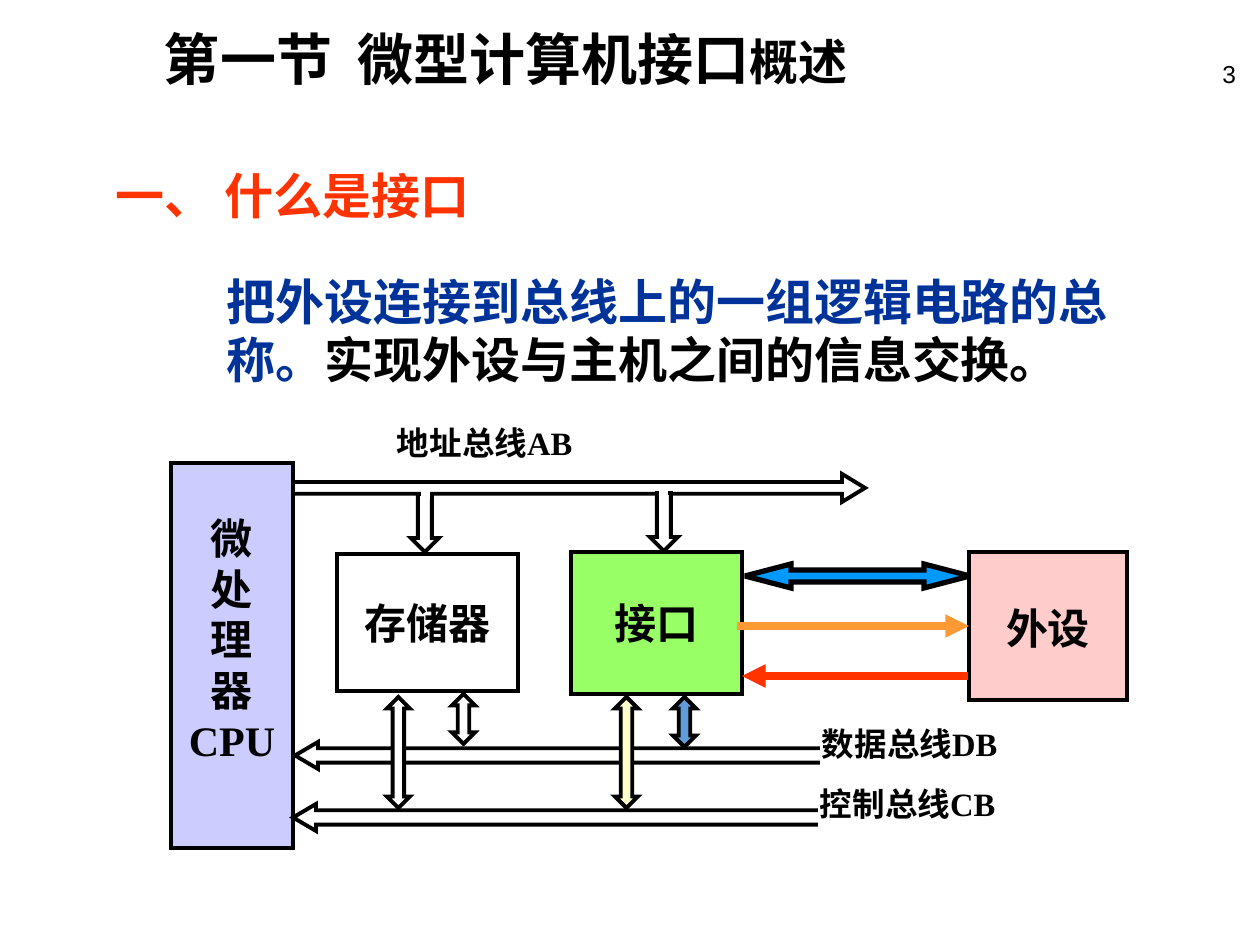
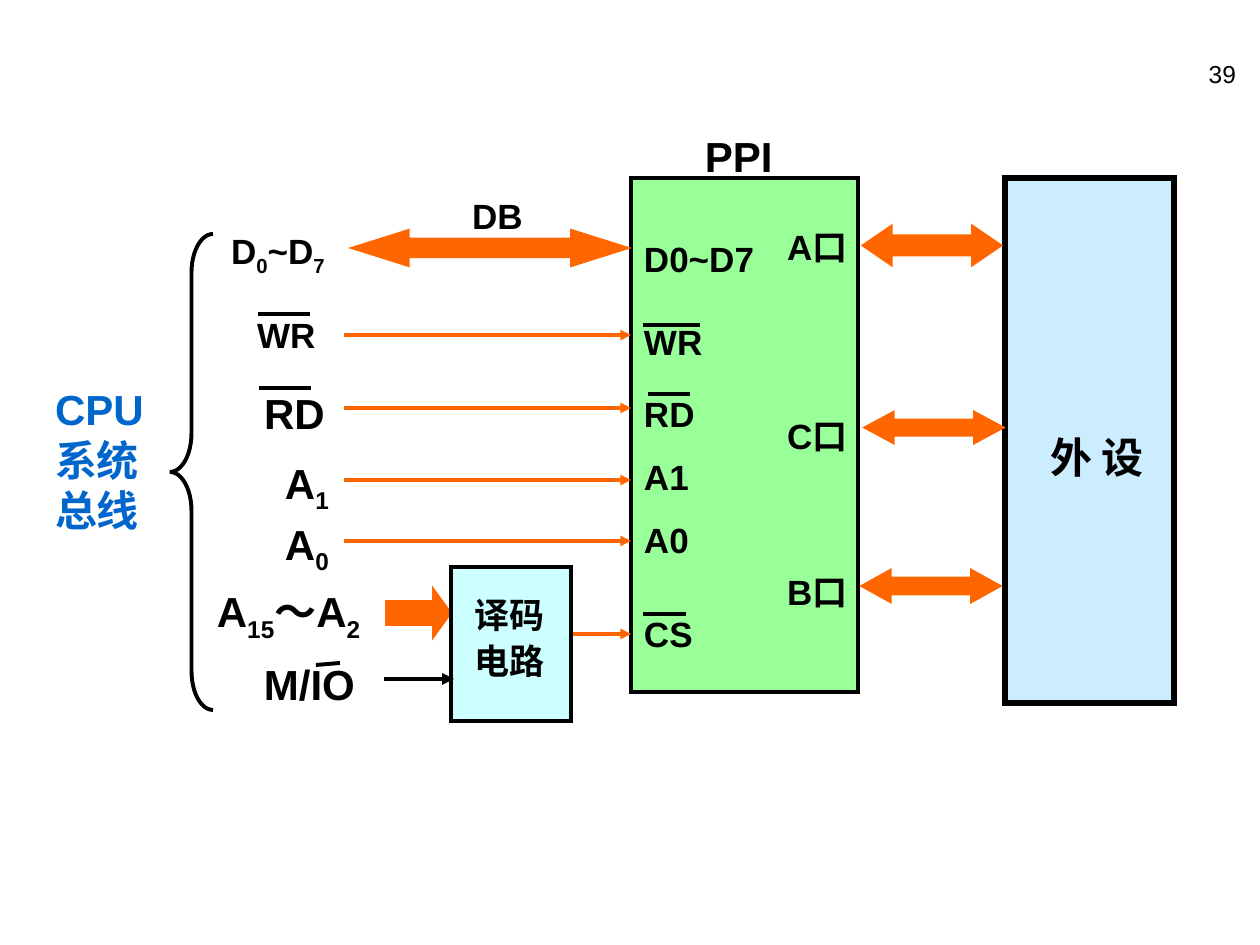
import pptx
import pptx.util
import pptx.dml.color
import pptx.enum.shapes
import pptx.enum.text
import pptx.oxml
import pptx.oxml.ns

SCALE = 914400 / 126
KIND = pptx.enum.shapes.MSO_SHAPE
ALIGN = pptx.enum.text.PP_ALIGN
ANCHOR = pptx.enum.text.MSO_ANCHOR
EAST, SERIF, SANS = "Noto Sans CJK SC", "Times New Roman", "Arial"
INK = {
    "black": "000000", "white": "FFFFFF", "red": "FF3300", "navy": "003399",
    "blue": "0066CC", "sky": "0099FF", "steel": "5E9CDA", "cream": "FFFFCC",
    "lilac": "CCCCFF", "lime": "99FF66", "pink": "FFCCCC", "amber": "FF9933",
    "orange": "FF6600", "mint": "99FF99", "ice": "CCECFF", "aqua": "CCFFFF",
}
PAD = (13, 6, 13, 6)
FLAT = (0, 0, 0, 0)


def emu(*sizes):
    return [round(size * SCALE) for size in sizes]


def rgb(name):
    return pptx.dml.color.RGBColor.from_string(INK[name])


def tag(parent, name, **values):
    """Append a drawing element with the given attributes."""
    child = pptx.oxml.parse_xml(f"<a:{name} {pptx.oxml.ns.nsdecls('a')}/>")
    for key, value in values.items():
        child.set(key, str(value))
    parent.append(child)


# Text
def add_run(para, text, size, face, ink="black", bold=True, base=None, gap=None):
    run = para.add_run()
    run.text = text
    form = {"size": pptx.util.Pt(size), "name": face, "bold": bold}
    for key, value in form.items():
        setattr(run.font, key, value)
    run.font.color.rgb = rgb(ink)
    props = run.font._element
    tag(props, "ea", typeface=EAST)
    for key, value in {"baseline": base, "spc": gap}.items():
        if value:
            props.set(key, str(value))


def write(shape, paras, size, face=SANS, pad=PAD, align=ALIGN.LEFT,
          anchor=ANCHOR.TOP, wrap=True, lines=None, indent=0, **style):
    """Each paragraph is a string or a list of (text, changes) runs."""
    frame = shape.text_frame
    form = {"word_wrap": wrap, "vertical_anchor": anchor,
            "auto_size": pptx.enum.text.MSO_AUTO_SIZE.NONE}
    sides = ("margin_left", "margin_top", "margin_right", "margin_bottom")
    form.update(zip(sides, emu(*pad)))
    for key, value in form.items():
        setattr(frame, key, value)
    for at, runs in enumerate(paras):
        para = frame.add_paragraph() if at else frame.paragraphs[0]
        para.alignment = align
        if lines:
            para.line_spacing = lines
        if indent:
            props = para._p.get_or_add_pPr()
            props.set("marL", str(emu(indent)[0]))
            props.set("indent", "0")
        for text, change in [(runs, {})] if isinstance(runs, str) else runs:
            add_run(para, text, **{"size": size, "face": face, **style, **change})


def label(slide, box, paras, size, **style):
    shape = slide.shapes.add_textbox(*emu(*box))
    write(shape, paras, size, **style)


def sub(*texts):
    """Every second text is a subscript."""
    return [(text, {"base": -25000} if at % 2 else {})
            for at, text in enumerate(texts)]


def number(slide, text):
    label(slide, (987, 53, 262, 63), [text], 14, align=ALIGN.RIGHT, bold=False)


# Shapes
def draw(slide, kind, box, fill, line="black", width=2.25):
    shape = slide.shapes.add_shape(kind, *emu(*box))
    shape.shadow.inherit = False
    if fill:
        shape.fill.solid()
        shape.fill.fore_color.rgb = rgb(fill)
    else:
        shape.fill.background()
    shape.line.color.rgb = rgb(line)
    shape.line.width = pptx.util.Pt(width)
    tag(shape._element.spPr.find(pptx.oxml.ns.qn("a:ln")), "miter", lim=800000)
    return shape


def block(slide, box, fill, paras, pad=FLAT, anchor=ANCHOR.MIDDLE):
    shape = draw(slide, KIND.RECTANGLE, box, fill)
    write(shape, paras, 24, face=SERIF, pad=pad, align=ALIGN.CENTER, anchor=anchor)
    return shape


def arrow(slide, kind, box, fill, head, shaft=0.5, **style):
    """Block arrow: head is a length, shaft a share of the breadth."""
    shape = draw(slide, kind, box, fill, **style)
    values = [shaft, head / min(box[2:])]
    # python-pptx lists the two handles of this kind in reverse
    if kind == KIND.UP_DOWN_ARROW:
        values.reverse()
    for at, value in enumerate(values):
        shape.adjustments[at] = value


def wire(slide, start, end, ink="black", width=2, tip=False):
    straight = pptx.enum.shapes.MSO_CONNECTOR.STRAIGHT
    line = slide.shapes.add_connector(straight, *emu(*start, *end))
    line.line.color.rgb = rgb(ink)
    line.line.width = pptx.util.Pt(width)
    props = line._element.spPr
    if tip:
        tag(props.find(pptx.oxml.ns.qn("a:ln")), "tailEnd", type="triangle")
    tag(props, "effectLst")
    return line


def bus_name(slide, box, text):
    shape = draw(slide, KIND.RECTANGLE, box, "white", line="white")
    write(shape, [text], 18.6, face=SERIF, pad=FLAT, align=ALIGN.JUSTIFY, lines=0.8)


# Slide: what an interface is
def intro(deck):
    slide = deck.slides.add_slide(deck.slide_layouts[5])
    number(slide, "3")

    title = slide.shapes.title
    title.left, title.top, title.width, title.height = emu(151, 18, 760, 81)
    write(title, [[("第一节", {}), (" ", {"gap": 700}), ("微型计算机接口", {}),
                   ("概述", {"size": 28, "face": SERIF})]],
          32, face=EAST, wrap=False)

    label(slide, (88, 265, 1052, 131),
          [[("把外设连接到总线上的一组逻辑电路的总称。", {"ink": "navy"}),
            ("实现外设与主机之间的信息交换。", {})]], 28, face=SERIF, indent=126)
    label(slide, (103, 160, 456, 72), ["一、 什么是接口"], 28, face=SERIF, ink="red")

    # Units and buses
    arrow(slide, KIND.DOWN_ARROW, (411, 494, 28, 58), "white", 14)
    block(slide, (337, 554, 181, 137), "white", ["存储器"])
    block(slide, (571, 552, 171, 142), "lime", ["接口"])
    block(slide, (171, 463, 122, 385), "lilac", [*"微处理器", "CPU"],
          pad=(0, 50, 0, 0), anchor=ANCHOR.TOP)
    for left, top in ((293, 804), (295, 742)):
        arrow(slide, KIND.LEFT_RIGHT_ARROW, (left, top, 572, 27), "white", 23, 0.53)
    arrow(slide, KIND.RIGHT_ARROW, (293, 474, 572, 28), "white", 23, 0.42)
    device = block(slide, (969, 552, 158, 148), "pink", ["外设"], pad=(0, 4, 0, 0))

    # Links to the data bus
    for left, top, fill in ((452, 694, "white"), (673, 697, "steel")):
        arrow(slide, KIND.UP_DOWN_ARROW, (left, top, 23, 50), fill, 10)

    for box, text in (((397, 431, 262, 40), "地址总线AB"),
                      ((822, 731, 266, 42), "数据总线DB"),
                      ((820, 791, 247, 42), "控制总线CB")):
        bus_name(slide, box, text)

    # Openings where branches leave the address bus
    arrow(slide, KIND.DOWN_ARROW, (650, 493, 28, 58), "white", 14)
    for left, top in ((423, 489), (661, 486)):
        draw(slide, KIND.RECTANGLE, (left, top, 5, 8), "white", line="white")

    # Links between interface and device
    arrow(slide, KIND.LEFT_RIGHT_ARROW, (745, 564, 225, 24), "sky", 46, width=3)
    wire(slide, (968, 676), (742, 676), "red", 4.5, tip=True)
    link = wire(slide, (737, 626), (969, 626), "amber", 4.5, tip=True)
    link.end_connect(device, 1)

    # Links to the control bus
    for left, fill in ((615, "cream"), (387, "white")):
        arrow(slide, KIND.UP_DOWN_ARROW, (left, 697, 23, 111), fill, 22)


# Slide: wiring of the port chip
def wiring(deck):
    slide = deck.slides.add_slide(deck.slide_layouts[6])
    number(slide, "39")

    # Chip with pins and ports
    draw(slide, KIND.RECTANGLE, (631, 178, 227, 514), "mint")
    label(slide, (692, 125, 126, 63), ["PPI"], 24)
    for text, top in (("D0~D7", 231), ("WR", 314), ("RD", 386),
                      ("A1", 449), ("A0", 512), ("CS", 606)):
        label(slide, (631, top, 148, 55), [text], 20)

    # Device and its port arrows
    draw(slide, KIND.RECTANGLE, (1005, 178, 169, 525), "ice", width=3)
    label(slide, (1037, 408, 147, 81), ["外 设"], 24, lines=1.35)
    for name, top, box in (("A口", 219, (864, 227, 136, 37)),
                           ("C口", 408, (866, 413, 136, 29)),
                           ("B口", 564, (863, 571, 136, 30))):
        label(slide, (774, top, 95, 55), [name], 20)
        arrow(slide, KIND.LEFT_RIGHT_ARROW, box, "orange", 27, line="orange", width=2)

    # Signals into the chip
    arrow(slide, KIND.LEFT_RIGHT_ARROW, (354, 231, 272, 34), "orange", 54,
          line="orange", width=2)
    label(slide, (459, 188, 105, 55), ["DB"], 20)
    for top in (335, 408, 480, 541):
        wire(slide, (344, top), (631, top), "orange", tip=True)
    wire(slide, (522, 634), (631, 634), "orange", tip=True)

    # Bars over active-low names
    for left, right, top in ((643, 686, 614), (648, 690, 394), (643, 700, 325),
                             (258, 310, 314), (259, 311, 388)):
        wire(slide, (left, top), (right, top))

    # System bus names
    label(slide, (218, 224, 147, 60), [sub("D", "0", "~D", "7")], 20)
    label(slide, (244, 307, 105, 55), ["WR"], 20)
    label(slide, (251, 382, 105, 63), ["RD"], 24)
    for digit, top in (("1", 451), ("0", 512)):
        label(slide, (272, top, 83, 71), [sub("A", digit)], 24)
    label(slide, (217, 580, 152, 127), [sub("A", "15", "～A", "2")], 24,
          pad=(0, 6, 0, 6))
    label(slide, (251, 653, 116, 63), ["M/IO"], 24, wrap=False)
    wire(slide, (316, 665), (340, 663), width=2.25)
    label(slide, (42, 378, 120, 164), ["CPU系统总线"], 24, ink="blue")
    brace = draw(slide, KIND.LEFT_BRACE, (170, 234, 43, 476), None)
    brace.adjustments[0] = 0.9

    # Decoder
    arrow(slide, KIND.RIGHT_ARROW, (387, 591, 63, 44), "orange", 16,
          line="orange", width=2)
    draw(slide, KIND.RECTANGLE, (451, 567, 120, 154), "aqua", width=2)
    label(slide, (462, 583, 129, 106), ["译码", "电路"], 20, lines=1.1)
    wire(slide, (384, 679), (454, 679), width=2.25, tip=True)


def main():
    deck = pptx.Presentation()
    deck.slide_width, deck.slide_height = emu(1260, 945)
    intro(deck)
    wiring(deck)
    deck.save("out.pptx")


if __name__ == "__main__":
    main()
